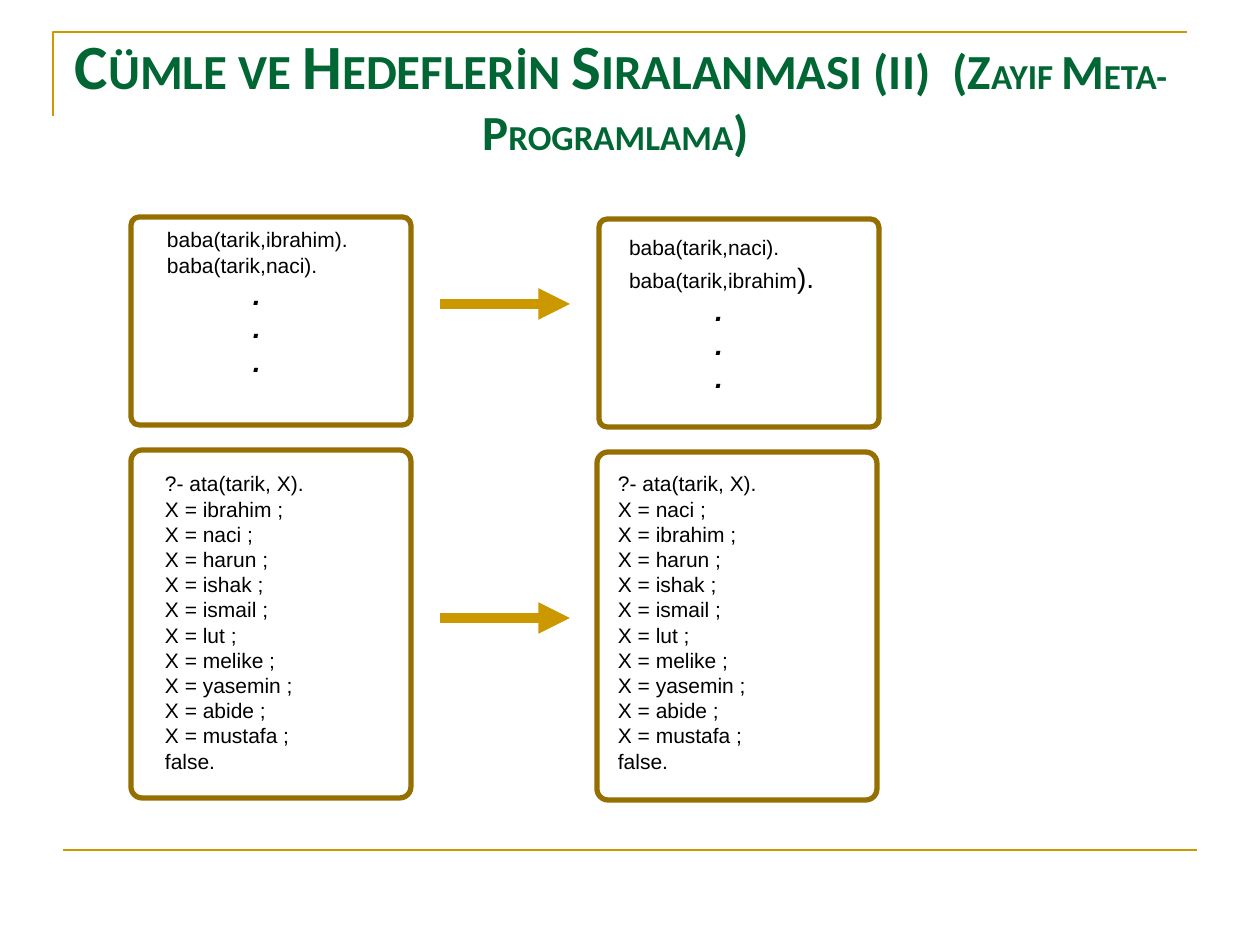
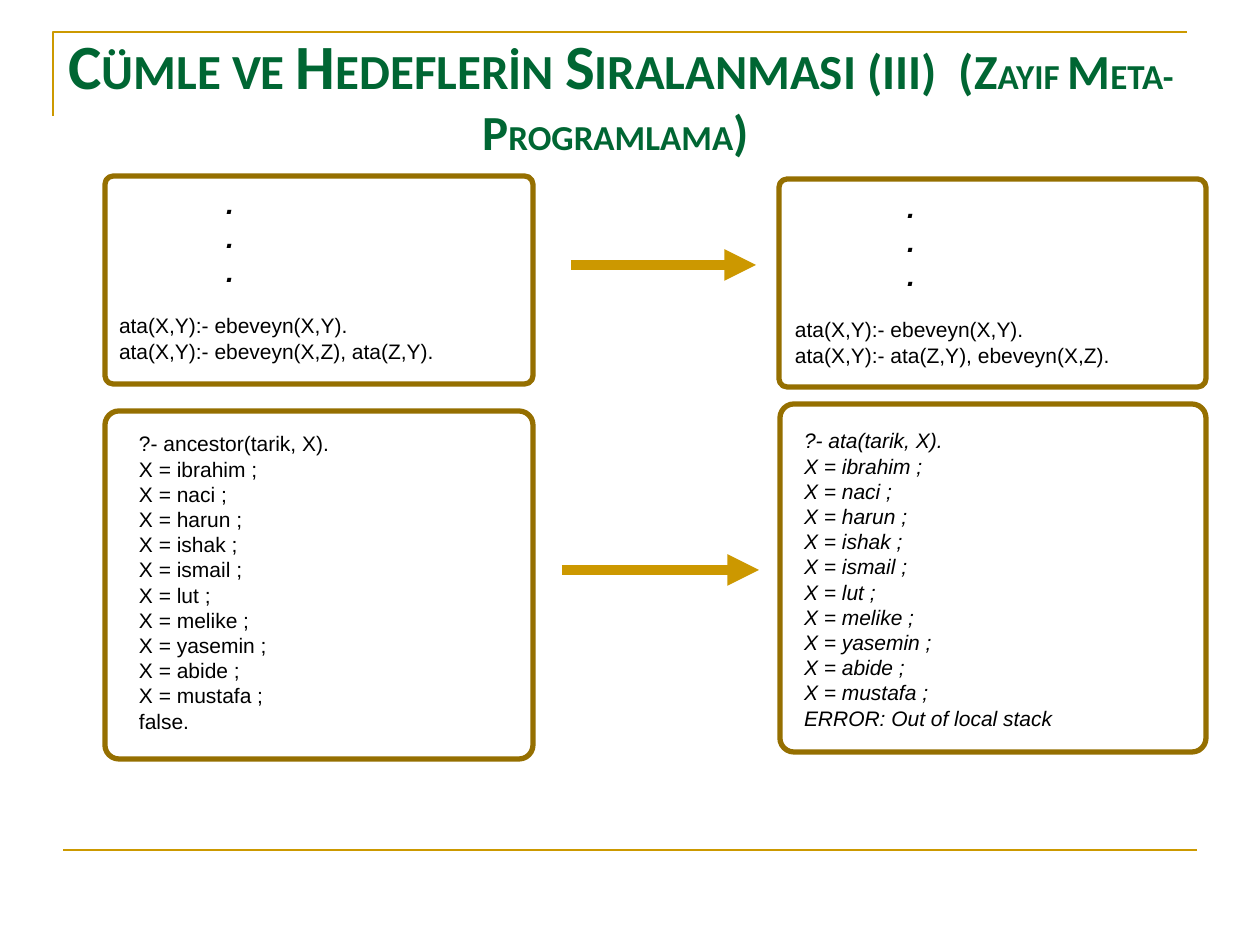
import pptx
import pptx.util
import pptx.dml.color
import pptx.enum.shapes
import pptx.enum.text
import pptx.oxml

PX = pptx.util.Inches(1) / 126
COLORS = {"frame": "CC9900", "card": "956F00", "arrow": "CC9800",
          "title": "006633", "text": "000000"}
INSETS = {"margin_left": 13, "margin_right": 13, "margin_top": 6, "margin_bottom": 6}

# Run formats
CODE = {"name": "Arial", "size": 12, "bold": False, "italic": False}
ITALIC = {**CODE, "italic": True}
LARGE = {**CODE, "size": 16}
DOT = {**LARGE, "bold": True, "italic": True}
TITLE = {"name": "Calibri", "bold": True}
LINE_RATIO = 1.2
DOT_INDENT = 86

# Program text shared by the slides
DOTS = [[(".", DOT)]] * 3
OTHER_NAMES = ["harun", "ishak", "ismail", "lut", "melike", "yasemin", "abide", "mustafa"]
IBRAHIM_FIRST = ["ibrahim", "naci"] + OTHER_NAMES
NACI_FIRST = ["naci", "ibrahim"] + OTHER_NAMES


def px(length):
    return pptx.util.Emu(round(length * PX))


def code(*lines, style=CODE):
    return [[(line, style)] for line in lines]


def answers(query, names, ending="false.", style=CODE):
    return code(query, *(f"X = {name} ;" for name in names), ending, style=style)


class Deck:
    def __init__(self):
        self.prs = pptx.Presentation()
        self.prs.slide_width, self.prs.slide_height = px(1260), px(945)
        self.slide = None

    def color(self, name):
        return pptx.dml.color.RGBColor.from_string(COLORS[name])

    def set_line(self, shape, color, points):
        shape.line.color.rgb = self.color(color)
        shape.line.width = pptx.util.Pt(points)

    def add_run(self, paragraph, text, style, color):
        run = paragraph.add_run()
        run.text = text
        for key, value in style.items():
            setattr(run.font, key, pptx.util.Pt(value) if key == "size" else value)
        run.font.color.rgb = self.color(color)

    def new_slide(self, number):
        self.slide = self.prs.slides.add_slide(self.prs.slide_layouts[5])
        self.frame()
        self.title(number)

    def frame(self):
        builder = self.slide.shapes.build_freeform(53, 116, scale=PX)
        builder.add_line_segments([(53, 32), (1187, 32)], close=False)
        bracket = builder.convert_to_shape()
        bracket.fill.background()
        bracket.shadow.inherit = False
        self.set_line(bracket, "frame", 1.5)
        self.connector(63, 1197, 850, "frame", 1.5)

    def title(self, number):
        heading = self.slide.shapes.title
        heading.left, heading.top, heading.width, heading.height = map(px, (5, 16, 1221, 86))
        frame = heading.text_frame
        frame.auto_size = pptx.enum.text.MSO_AUTO_SIZE.NONE
        frame.vertical_anchor = pptx.enum.text.MSO_ANCHOR.TOP
        for key, value in {**INSETS, "margin_top": 10}.items():
            setattr(frame, key, px(value))
        paragraph = frame.paragraphs[0]
        paragraph.alignment = pptx.enum.text.PP_ALIGN.CENTER
        for text, size in [(" ", 28), ("C", 36), ("ÜMLE VE ", 28), ("H", 36),
                           ("EDEFLERİN ", 28), ("S", 36),
                           (f"IRALANMASI ({number})  (Z", 28), ("AYIF ", 20), ("M", 28),
                           ("ETA-", 20), ("P", 28), ("ROGRAMLAMA", 20), (")", 28)]:
            self.add_run(paragraph, text, {**TITLE, "size": size}, "title")

    def connector(self, start, end, y, color, points):
        line = self.slide.shapes.add_connector(
            pptx.enum.shapes.MSO_CONNECTOR.STRAIGHT, px(start), px(y), px(end), px(y))
        self.set_line(line, color, points)
        properties = line._element.spPr
        properties.append(properties.makeelement(pptx.oxml.ns.qn("a:effectLst"), {}))
        return line

    def arrow(self, start, end, y):
        line = self.connector(start, end, y, "arrow", 6)
        outline = line.line._get_or_add_ln()
        outline.append(outline.makeelement(pptx.oxml.ns.qn("a:tailEnd"), {"type": "triangle"}))

    def card(self, left, top, width, height):
        card = self.slide.shapes.add_shape(
            pptx.enum.shapes.MSO_SHAPE.ROUNDED_RECTANGLE,
            *map(px, (left, top, width, height)))
        card.adjustments[0] = 0.04
        card.fill.background()
        card.shadow.inherit = False
        self.set_line(card, "card", 3)

    def text(self, left, top, width, lines):
        pitches = [LINE_RATIO * max(style["size"] for _, style in runs) for runs in lines]
        height = sum(pitches) * 1.75 + 12
        frame = self.slide.shapes.add_textbox(*map(px, (left, top, width, height))).text_frame
        frame.word_wrap = True
        for key, value in INSETS.items():
            setattr(frame, key, px(value))
        for index, (runs, pitch) in enumerate(zip(lines, pitches)):
            paragraph = frame.add_paragraph() if index else frame.paragraphs[0]
            paragraph.line_spacing = pptx.util.Pt(pitch)
            if runs[0][1] is DOT:
                paragraph._p.get_or_add_pPr().set("marL", str(px(DOT_INDENT)))
            for text, style in runs:
                self.add_run(paragraph, text, style, "text")


def fact_order(deck):
    deck.new_slide("II")
    # Facts and their answers, first order
    deck.card(131, 217, 280, 208)
    deck.text(154, 221, 248, code("baba(tarik,ibrahim).", "baba(tarik,naci).") + DOTS)
    deck.card(131, 450, 280, 348)
    deck.text(152, 465, 244, answers("?- ata(tarik, X).", IBRAHIM_FIRST))
    # Facts and their answers, swapped order
    deck.card(599, 219, 280, 208)
    swapped_fact = [("baba(tarik,ibrahim", CODE), (").", LARGE)]
    deck.text(616, 229, 248, code("baba(tarik,naci).") + [swapped_fact] + DOTS)
    deck.card(597, 452, 280, 348)
    deck.text(605, 465, 237, answers("?- ata(tarik, X).", NACI_FIRST))
    for y in (304, 618):
        deck.arrow(440, 570, y)


def goal_order(deck):
    deck.new_slide("III")
    base_rule = "ata(X,Y):- ebeveyn(X,Y)."
    # Rules and their answers, first order
    deck.card(105, 176, 428, 208)
    deck.text(127, 181, 396, DOTS)
    deck.text(106, 307, 435, code(base_rule, "ata(X,Y):- ebeveyn(X,Z), ata(Z,Y)."))
    deck.card(105, 411, 428, 348)
    deck.text(126, 425, 244, answers("?- ancestor(tarik, X).", IBRAHIM_FIRST))
    # Rules and their answers, swapped goals
    deck.card(779, 179, 427, 208)
    deck.text(808, 185, 118, DOTS)
    deck.text(782, 311, 435, code(base_rule, "ata(X,Y):- ata(Z,Y), ebeveyn(X,Z)."))
    deck.card(780, 404, 426, 348)
    deck.text(791, 422, 335, answers("?- ata(tarik, X).", IBRAHIM_FIRST,
                                     "ERROR: Out of local stack", ITALIC))
    deck.arrow(571, 756, 265)
    deck.arrow(562, 759, 570)


def main():
    deck = Deck()
    fact_order(deck)
    goal_order(deck)
    deck.prs.save("out.pptx")


if __name__ == "__main__":
    main()
